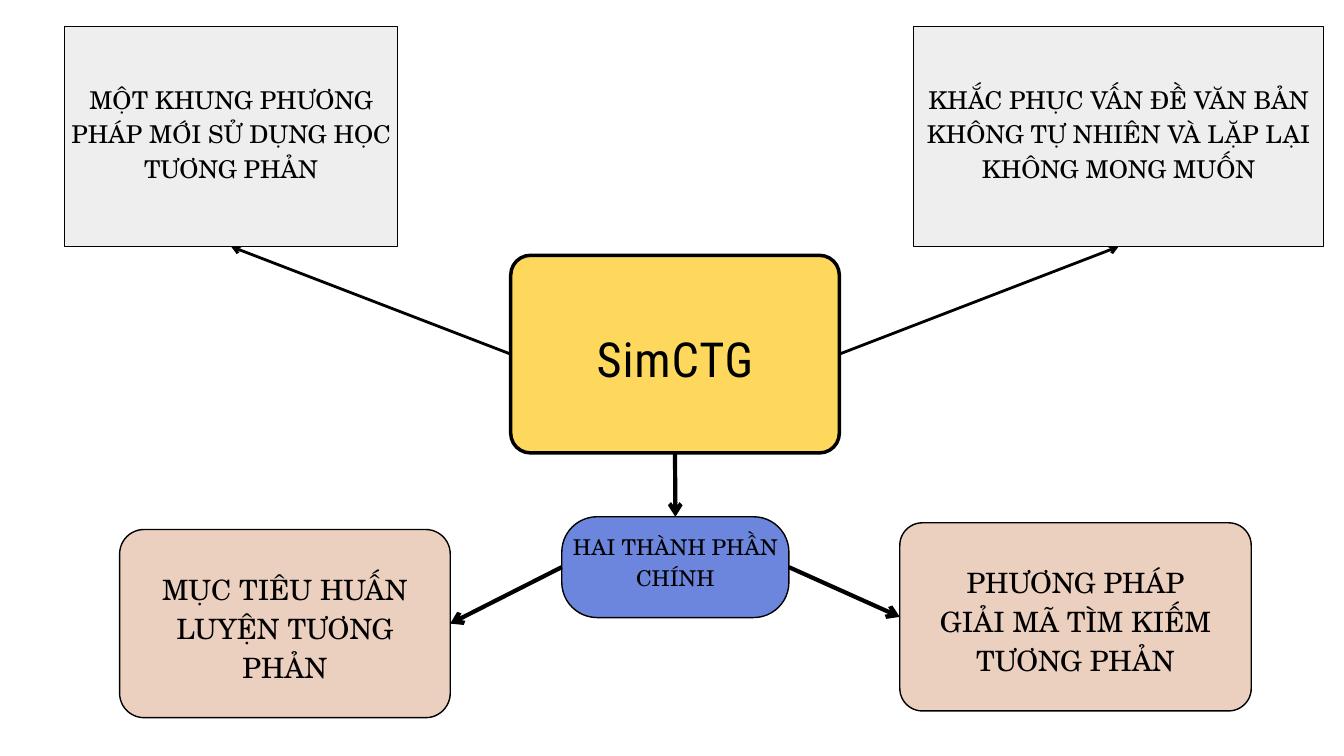
import pptx
import pptx.dml.color
import pptx.enum.shapes
import pptx.enum.text
import pptx.oxml.ns
import pptx.util
from dataclasses import dataclass
from lxml import etree

PX = 9144
KIND = pptx.enum.shapes.MSO_SHAPE
TOP, LEFT, FOOT, RIGHT = range(4)


@dataclass(frozen=True)
class Theme:
    ink: str = "000000"
    gold: str = "FDD85D"
    peach: str = "EBCFBF"
    blue: str = "6D86DD"
    gray: str = "EEEEEE"
    head: str = "Roboto Condensed"
    body: str = "TeX Gyre Schola"
    title: float = 51.7
    leaf: float = 30
    note: float = 26.3
    hub: float = 23.3


LOOK = Theme()


def px(*nums):
    return [pptx.util.Emu(n * PX) for n in nums]


def tint(code):
    return pptx.dml.color.RGBColor.from_string(code)


def put(item, vals):
    for name, val in vals.items():
        setattr(item, name, val)


def box(slide, area, fill, width, curve=0):
    kind = KIND.ROUNDED_RECTANGLE if curve else KIND.RECTANGLE
    shape = slide.shapes.add_shape(kind, *px(*area))
    if curve:
        shape.adjustments[0] = curve
    shape.shadow.inherit = False
    shape.fill.solid()
    shape.fill.fore_color.rgb = tint(fill)
    shape.line.color.rgb = tint(LOOK.ink)
    shape.line.width = pptx.util.Pt(width)
    return shape


def label(slide, area, text, size, lead, font=LOOK.body, pad=0, mid=False, track=0):
    shape = slide.shapes.add_textbox(*px(*area))
    frame = shape.text_frame
    anchor = pptx.enum.text.MSO_ANCHOR
    sides = ("left", "top", "right", "bottom")
    put(frame, {f"margin_{side}": pptx.util.Emu(pad * PX) for side in sides})
    put(frame, {
        "word_wrap": True,
        "vertical_anchor": anchor.MIDDLE if mid else anchor.TOP,
    })
    para = frame.paragraphs[0]
    put(para, {
        "alignment": pptx.enum.text.PP_ALIGN.CENTER,
        "line_spacing": pptx.util.Pt(lead),
    })
    run = para.add_run()
    run.text = text
    put(run.font, {"name": font, "size": pptx.util.Pt(size)})
    run.font.color.rgb = tint(LOOK.ink)
    if track:
        run._r.get_or_add_rPr().set("spc", str(track))
    return shape


def link(slide, start, out, end, into, width):
    kind = pptx.enum.shapes.MSO_CONNECTOR.STRAIGHT
    line = slide.shapes.add_connector(kind, 0, 0, 0, 0)
    line.begin_connect(start, out)
    line.end_connect(end, into)
    line.line.color.rgb = tint(LOOK.ink)
    line.line.width = pptx.util.Pt(width)
    name = pptx.oxml.ns.qn
    etree.SubElement(line.line._get_or_add_ln(), name("a:tailEnd"), type="arrow")
    etree.SubElement(line._element.spPr, name("a:effectLst"))


def note(slide, left, width, text):
    shape = box(slide, (left, 39, width, 328), LOOK.gray, 0.75)
    words = label(slide, (left, 119, width, 150), text, LOOK.note, 36.9)
    return shape, words


def leaf(slide, left, top, width, inset, curve, text):
    shape = box(slide, (left, top, width, 280), LOOK.peach, 1.5, curve)
    area = (left + inset, top + 55, width - 2 * inset, 167)
    label(slide, area, text, LOOK.leaf, 42)
    return shape


def main():
    deck = pptx.Presentation()
    wide, high = px(2000, 1125)
    put(deck, {"slide_width": wide, "slide_height": high})
    slide = deck.slides.add_slide(deck.slide_layouts[6])

    core = box(slide, (760, 380, 489, 294), LOOK.gold, 3.75, 0.1)
    label(slide, (760, 477, 489, 93), "SimCTG", LOOK.title, 71.9, LOOK.head, track=100)
    goal = leaf(slide, 178, 788, 492, 49, 0.13, "MỤC TIÊU HUẤN LUYỆN TƯƠNG PHẢN")
    search = leaf(slide, 1339, 778, 523, 52, 0.12,
                  "PHƯƠNG PHÁP GIẢI MÃ TÌM KIẾM TƯƠNG PHẢN")
    hub = box(slide, (836, 769, 338, 150), LOOK.blue, 1.5, 0.35)
    label(slide, (836, 749, 338, 169), "HAI THÀNH PHẦN CHÍNH", LOOK.hub, 32.7,
          pad=6, mid=True)
    frame = note(slide, 96, 496, "MỘT KHUNG PHƯƠNG PHÁP MỚI SỬ DỤNG HỌC TƯƠNG PHẢN")
    fix = note(slide, 1359, 611,
               "KHẮC PHỤC VẤN ĐỀ VĂN BẢN KHÔNG TỰ NHIÊN VÀ LẶP LẠI KHÔNG MONG MUỐN")

    for start, out, end, into, width in (
        (hub, LEFT, goal, RIGHT, 4.5),
        (hub, RIGHT, search, LEFT, 4.5),
        (core, FOOT, hub, TOP, 4.5),
        (core, LEFT, frame[0], FOOT, 3),
        (core, RIGHT, fix[0], FOOT, 3),
    ):
        link(slide, start, out, end, into, width)
    for item in frame + fix:
        slide.shapes._spTree.append(item._element)

    deck.save("out.pptx")


if __name__ == "__main__":
    main()
